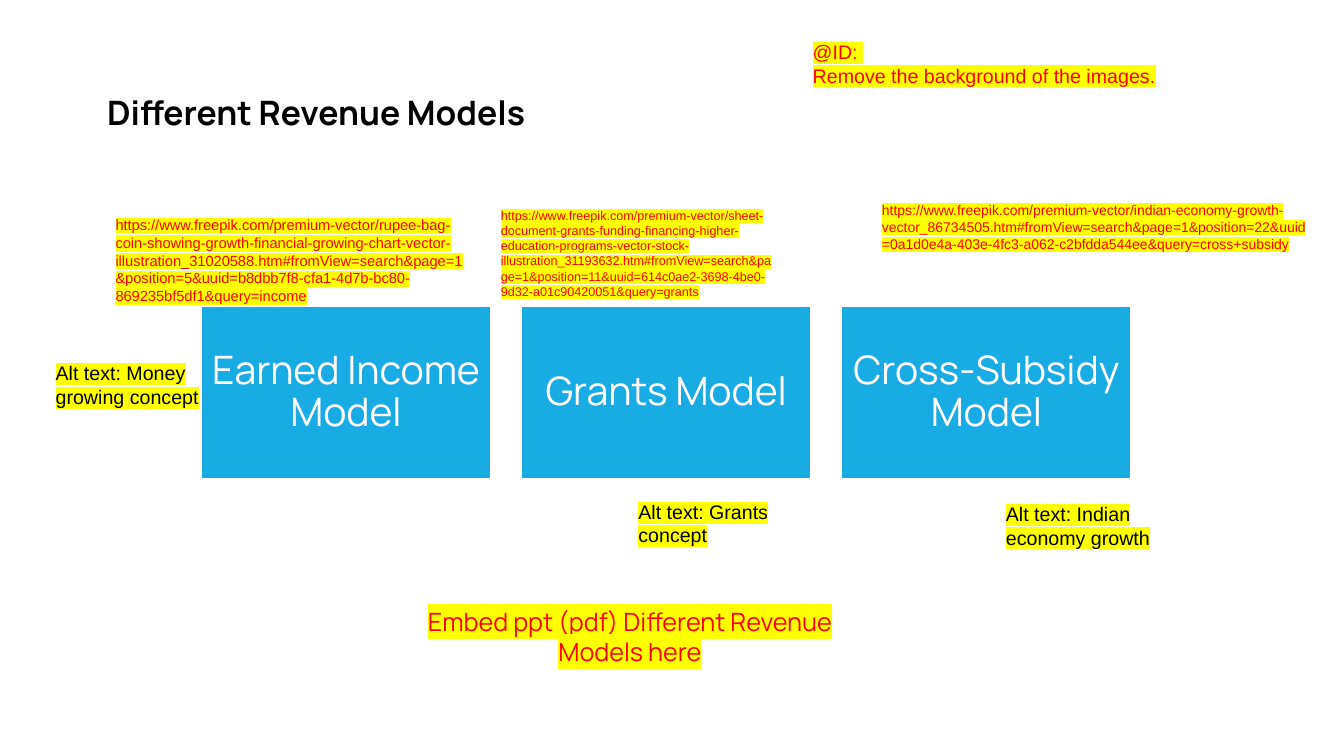
from pptx import Presentation
from pptx.dml.color import RGBColor
from pptx.enum.shapes import MSO_SHAPE
from pptx.enum.text import MSO_ANCHOR, PP_ALIGN
from pptx.oxml.ns import qn
from pptx.util import Emu, Pt
from lxml import etree

RECTANGLE = MSO_SHAPE.RECTANGLE
LEFT, CENTER = PP_ALIGN.LEFT, PP_ALIGN.CENTER
TOP, MIDDLE = MSO_ANCHOR.TOP, MSO_ANCHOR.MIDDLE

EMU_PER_PX = 9525
BLANK_LAYOUT = 6


def px(length):
    return Emu(length * EMU_PER_PX)


def color(code):
    return RGBColor.from_string(code)


class RevenuePage:
    heading_font = "Manrope"
    note_font = "Arial"
    black, white, red = "000000", "FFFFFF", "FF0000"
    yellow, blue = "FFFF00", "19ACE4"

    def __init__(self, deck):
        self.page = deck.slides.add_slide(deck.slide_layouts[BLANK_LAYOUT])

    def fill_text(self, box, text, font, size, ink, align=LEFT, anchor=TOP,
                  margins=(10, 5), bold=False, spacing=None, marker=None):
        frame = box.text_frame
        frame.word_wrap = True
        frame.vertical_anchor = anchor
        frame.margin_left = frame.margin_right = px(margins[0])
        frame.margin_top = frame.margin_bottom = px(margins[1])
        for index, line in enumerate(text.split("\n")):
            para = frame.add_paragraph() if index else frame.paragraphs[0]
            para.alignment = align
            para.line_spacing = spacing
            para.font.name = font
            para.font.size = Pt(size)
            para.font.bold = bold
            para.font.color.rgb = color(ink)
            span = para.add_run()
            span.text = line
            if marker:
                self.highlight(span, marker)

    def highlight(self, span, marker):
        mark = etree.SubElement(span.font._element, qn("a:highlight"))
        etree.SubElement(mark, qn("a:srgbClr"), val=marker)

    def text(self, area, text, font, size, ink, **style):
        box = self.page.shapes.add_textbox(*map(px, area))
        self.fill_text(box, text, font, size, ink, **style)

    def title(self, area, text):
        self.text(area, text, self.heading_font, 24, self.black, bold=True)

    def note(self, area, text, size=14, ink=black, font=note_font, align=LEFT):
        self.text(area, text, font, size, ink, align=align, marker=self.yellow)

    def card(self, area, text):
        box = self.page.shapes.add_shape(RECTANGLE, *map(px, area))
        box.shadow.inherit = False
        box.fill.solid()
        box.fill.fore_color.rgb = color(self.blue)
        box.line.color.rgb = color(self.white)
        box.line.width = Pt(2)
        self.fill_text(box, text, self.heading_font, 28, self.white, align=CENTER,
                       anchor=MIDDLE, margins=(11, 11), spacing=0.9)


def main():
    deck = Presentation()
    deck.slide_width, deck.slide_height = px(1280), px(720)
    page = RevenuePage(deck)

    # Title
    page.title((92, 83, 753, 48), "Different Revenue Models")

    # Three model cards at an equal pitch
    models = ["Earned Income Model", "Grants Model", "Cross-Subsidy Model"]
    for column, model in enumerate(models):
        page.card((191 + column * 305, 291, 277, 166), model)

    # Instructions for the designer
    page.note((393, 572, 414, 68), "Embed ppt (pdf) Different Revenue Models here",
              18, page.red, page.heading_font, CENTER)
    page.note((764, 33, 438, 55),
              "@ID: \nRemove the background of the images.", ink=page.red)

    # Image sources
    base = "https://www.freepik.com/premium-vector/"
    sources = [
        ((100, 201, 351, 94), 10.5,
         "rupee-bag-coin-showing-growth-financial-growing-chart-vector-"
         "illustration_31020588.htm#fromView=search&page=1&position=5"
         "&uuid=b8dbb7f8-cfa1-4d7b-bc80-869235bf5df1&query=income"),
        ((467, 193, 284, 97), 9,
         "sheet-document-grants-funding-financing-higher-education-programs-"
         "vector-stock-illustration_31193632.htm#fromView=search&page=1&position=11"
         "&uuid=614c0ae2-3698-4be0-9d32-a01c90420051&query=grants"),
        ((830, 187, 427, 59), 10,
         "indian-economy-growth-vector_86734505.htm#fromView=search&page=1"
         "&position=22&uuid=0a1d0e4a-403e-4fc3-a062-c2bfdda544ee"
         "&query=cross+subsidy"),
    ]
    for area, size, address in sources:
        page.note(area, base + address, size, page.red)

    # Alternative text notes
    concepts = [
        (43, 339, "Money growing concept"),
        (598, 471, "Grants concept"),
        (948, 473, "Indian economy growth"),
    ]
    for left, top, concept in concepts:
        page.note((left, top, 175, 55), f"Alt text: {concept}")

    deck.save("out.pptx")


if __name__ == "__main__":
    main()
